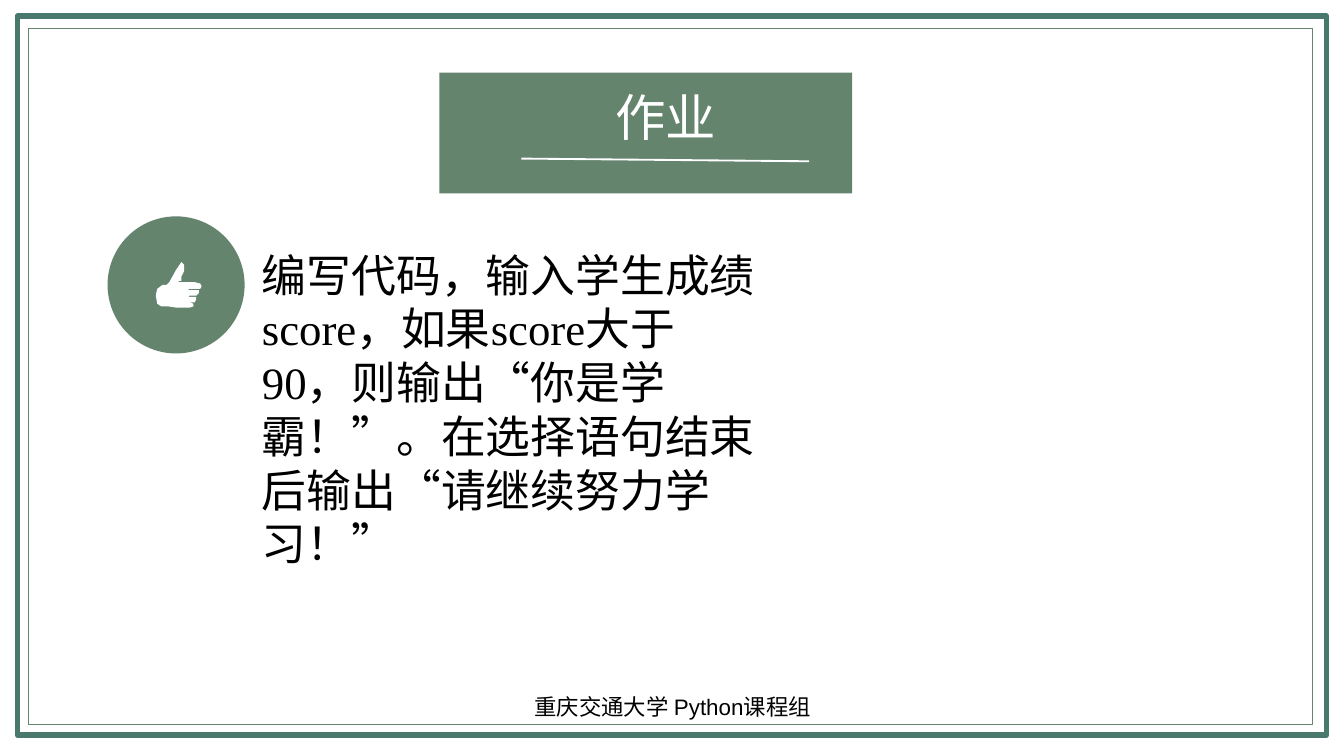
import dataclasses

import lxml.etree
import pptx
import pptx.dml.color
import pptx.enum.lang
import pptx.enum.shapes
import pptx.enum.text
import pptx.oxml.ns
import pptx.util

Inches = pptx.util.Inches
Pt = pptx.util.Pt
Shape = pptx.enum.shapes.MSO_SHAPE
Align = pptx.enum.text.PP_ALIGN
Anchor = pptx.enum.text.MSO_ANCHOR
Fit = pptx.enum.text.MSO_AUTO_SIZE
qn = pptx.oxml.ns.qn


@dataclasses.dataclass(frozen=True)
class Theme:
    green: str = "64846E"
    teal: str = "49786D"
    white: str = "FFFFFF"
    black: str = "000000"
    han: str = "Noto Sans CJK SC"
    serif: str = "Times New Roman"
    sans: str = "Arial"
    head: int = 27
    body: int = 24
    foot: int = 12


THEME = Theme()

THUMB = [
    (1.41, 2.21), (1.40, 2.21), (1.41, 2.20), (1.46, 2.20), (1.48, 2.18),
    (1.48, 2.16), (1.41, 2.16), (1.40, 2.15), (1.41, 2.15), (1.49, 2.15),
    (1.50, 2.13), (1.49, 2.11), (1.45, 2.10), (1.33, 2.10), (1.33, 2.09),
    (1.35, 2.09), (1.35, 2.06), (1.37, 2.02), (1.37, 1.97), (1.35, 1.95),
    (1.31, 2.01), (1.26, 2.10), (1.24, 2.12), (1.21, 2.12), (1.17, 2.15),
    (1.16, 2.20), (1.17, 2.26), (1.20, 2.28), (1.25, 2.28), (1.32, 2.29),
    (1.41, 2.29), (1.44, 2.28), (1.44, 2.26), (1.41, 2.25), (1.40, 2.25),
    (1.45, 2.25), (1.46, 2.23), (1.46, 2.21),
]


def color(code):
    return pptx.dml.color.RGBColor.from_string(code)


def paint(shape, code):
    shape.shadow.inherit = False
    shape.fill.solid()
    shape.fill.fore_color.rgb = color(code)
    shape.line.fill.background()


def block(slide, kind, box, code):
    shape = slide.shapes.add_shape(kind, *map(Inches, box))
    paint(shape, code)
    return shape


def frame(slide, box, code, width):
    shape = slide.shapes.add_shape(Shape.RECTANGLE, *map(Inches, box))
    shape.shadow.inherit = False
    shape.fill.background()
    shape.line.color.rgb = color(code)
    shape.line.width = Pt(width)


def icon(slide, dots, code):
    dots = [(Inches(x), Inches(y)) for x, y in dots]
    form = slide.shapes.build_freeform(*dots[0])
    form.add_line_segments(dots[1:], close=True)
    paint(form.convert_to_shape(), code)


def rule(slide, start, end, code, width):
    line = slide.shapes.add_connector(
        pptx.enum.shapes.MSO_CONNECTOR.STRAIGHT, *map(Inches, start + end))
    line.line.color.rgb = color(code)
    line.line.width = Pt(width)
    props = line.element.find(qn("p:spPr"))
    lxml.etree.SubElement(props, qn("a:effectLst"))


def write(shape, text, font, size, code, align, anchor=Anchor.TOP,
          fit=Fit.SHAPE_TO_FIT_TEXT):
    box = shape.text_frame
    box.word_wrap = True
    box.auto_size = fit
    box.vertical_anchor = anchor
    para = box.paragraphs[0]
    para.alignment = align
    run = para.add_run()
    run.text = text
    run.font.name = font
    run.font.size = Pt(size)
    run.font.color.rgb = color(code)
    run.font.language_id = pptx.enum.lang.MSO_LANGUAGE_ID.SIMPLIFIED_CHINESE
    latin = shape.element.find(".//" + qn("a:latin"))
    latin.addnext(latin.makeelement(qn("a:ea"), {"typeface": THEME.han}))


def note(slide, box, *args, **style):
    write(slide.shapes.add_textbox(*map(Inches, box)), *args, **style)


def title(slide, box, back, text):
    shape = slide.shapes.title
    shape.left, shape.top, shape.width, shape.height = map(Inches, box)
    back.element.addnext(shape.element)
    write(shape, text, THEME.han, THEME.head, THEME.white, Align.CENTER)


def main():
    deck = pptx.Presentation()
    deck.slide_width = Inches(10)
    deck.slide_height = Inches(10) * 9 // 16
    slide = deck.slides.add_slide(deck.slide_layouts[5])

    frame(slide, (0.13, 0.12, 9.74, 5.35), THEME.teal, 3)
    frame(slide, (0.21, 0.21, 9.56, 5.18), THEME.green, 0.5)
    block(slide, Shape.OVAL, (0.8, 1.61, 1.02, 1.02), THEME.green)
    icon(slide, THUMB, THEME.white)

    back = block(slide, Shape.RECTANGLE, (3.27, 0.54, 3.07, 0.9), THEME.green)
    title(slide, (3.74, 0.59, 2.43, 0.56), back, "作业")
    rule(slide, (3.88, 1.18), (6.02, 1.2), THEME.white, 1)

    note(slide, (1.85, 1.79, 3.91, 2.12),
         "编写代码，输入学生成绩score，如果score大于90，则输出“你是学霸！”。"
         "在选择语句结束后输出“请继续努力学习！”",
         THEME.serif, THEME.body, THEME.black, Align.LEFT)
    note(slide, (3.42, 5.11, 3.17, 0.3), "重庆交通大学 Python课程组",
         THEME.sans, THEME.foot, THEME.black, Align.CENTER,
         anchor=Anchor.MIDDLE, fit=Fit.NONE)
    deck.save("out.pptx")


if __name__ == "__main__":
    main()
